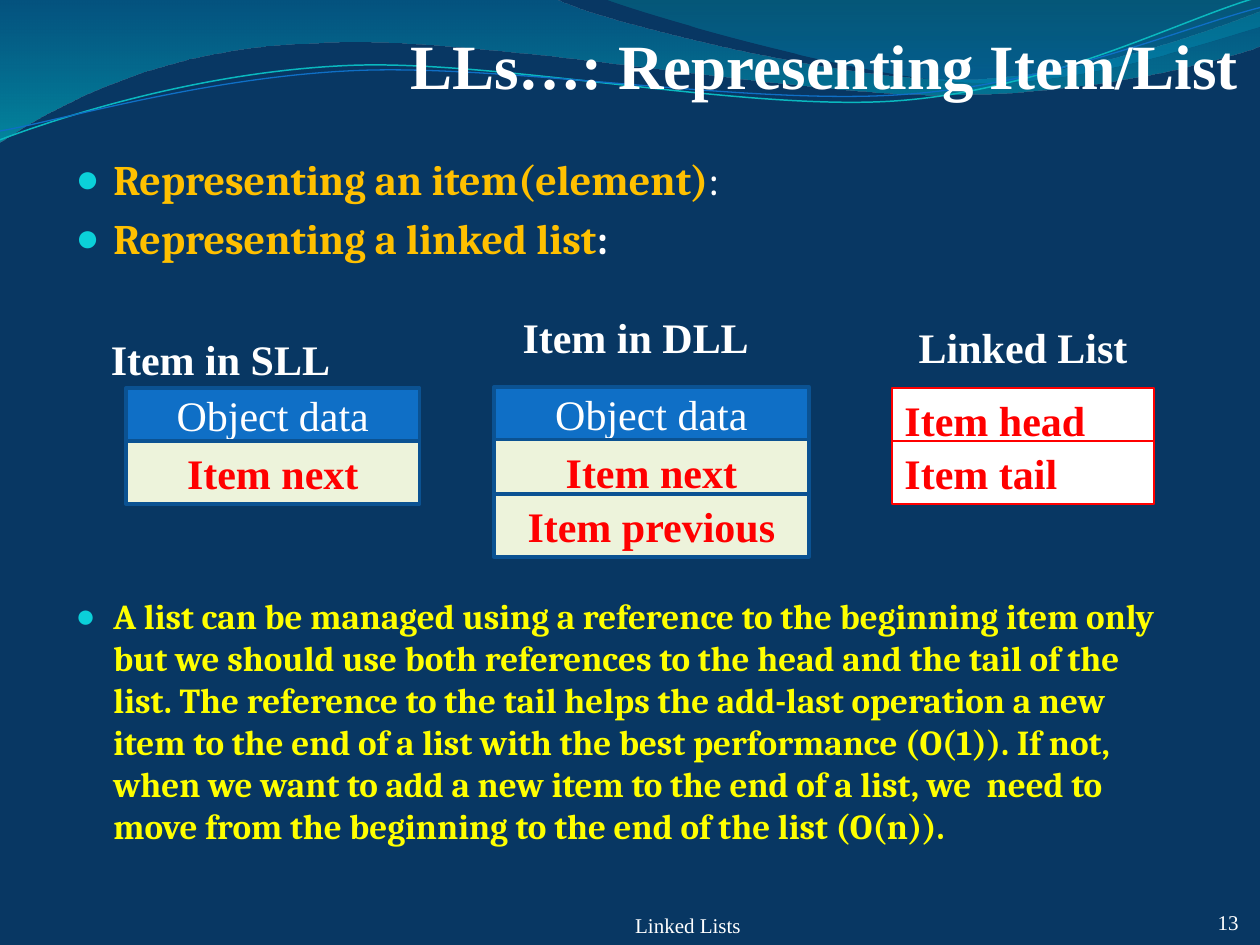
from lxml import etree
from pptx import Presentation
from pptx.dml.color import RGBColor
from pptx.enum.shapes import MSO_SHAPE
from pptx.enum.text import MSO_ANCHOR, MSO_AUTO_SIZE, PP_ALIGN
from pptx.oxml.ns import qn
from pptx.util import Inches, Pt

RECT = MSO_SHAPE.RECTANGLE
TOP, MIDDLE, BOTTOM = MSO_ANCHOR.TOP, MSO_ANCHOR.MIDDLE, MSO_ANCHOR.BOTTOM
LEFT, CENTER, RIGHT = PP_ALIGN.LEFT, PP_ALIGN.CENTER, PP_ALIGN.RIGHT
NONE = MSO_AUTO_SIZE.NONE
ROMAN = "Times New Roman"
rgb = RGBColor.from_string
WHITE, RED, GOLD, BLUE, CREAM = "FFFFFF", "FF0000", "FFC000", "0F6FC6", "EDF3DB"


def write(shape, text, size, color, bold, align, anchor, inset=None):
    frame = shape.text_frame
    frame.word_wrap = True
    frame.auto_size = NONE
    frame.vertical_anchor = anchor
    if inset is not None:
        frame.margin_left = frame.margin_right = frame.margin_bottom = 0
        frame.margin_top = Inches(inset)
    para = frame.paragraphs[0]
    para.text = text
    para.alignment = align
    font = para.font
    font.name, font.size, font.bold = ROMAN, Pt(size), bold
    font.color.rgb = rgb(color)


def place(shape, left, top, width, height):
    shape.left, shape.top = Inches(left), Inches(top)
    shape.width, shape.height = Inches(width), Inches(height)


deck = Presentation()
deck.slide_width, deck.slide_height = Inches(10), Inches(7.5)
slide = deck.slides.add_slide(deck.slide_layouts[3])
shapes = slide.shapes
slide.background.fill.solid()
slide.background.fill.fore_color.rgb = rgb("083763")

waves = [
    ([(0, 0), (4.4, -0.01), (4.76, 0.17, 6.64, 0.63, 7.58, 0.63),
      (8.53, 0.63, 9.58, 0.26, 10, 0.09), (10.01, 0.36),
      (9.83, 0.44, 8.7, 0.76, 7.46, 0.75), (6.22, 0.75, 3.82, 0.28, 2.57, 0.34),
      (1.29, 0.36, 0.46, 0.83, -0.01, 1.13)],
     [(0, "0074A1", 45), (1, "00C6CF", 55)], None),
    ([(4.79, -0.01), (5.09, 0.11, 6.82, 0.62, 7.69, 0.65),
      (8.56, 0.69, 9.61, 0.32, 10, 0.21), (10, 0)],
     [(0, "00A1A9", 30), (0.8, "008BBF", 45)], None),
    ([(0, 1.11), (0.48, 0.93, 1.58, 0.57, 2.77, 0.52),
      (3.95, 0.47, 5.93, 0.89, 7.13, 0.8), (8.33, 0.71, 9.38, 0.15, 9.98, -0.02)],
     None, ("0AB8BF", 0.85)),
    ([(0, 1.04), (0.47, 0.96, 1.64, 0.61, 2.83, 0.56),
      (4.03, 0.51, 5.97, 0.84, 7.17, 0.75), (8.36, 0.67, 9.41, 0.21, 10, 0.06)],
     None, (BLUE, 0.75)),
]
for segs, stops, stroke in waves:
    dots = [(Inches(seg[i]), Inches(seg[i + 1])) for seg in segs for i in range(0, len(seg), 2)]
    pen = shapes.build_freeform(*dots[0])
    pen.add_line_segments(dots[1:], close=bool(stops))
    wave = pen.convert_to_shape()
    wave.shadow.inherit = False
    lines = iter(list(wave._element.iter(qn("a:lnTo"))))
    for seg in segs[1:]:
        line = next(lines)
        if len(seg) == 6:
            curve = etree.Element(qn("a:cubicBezTo"))
            line.addprevious(curve)
            for part in (line, next(lines), next(lines)):
                curve.append(part[0])
                part.getparent().remove(part)
    if stops:
        wave.line.fill.background()
        wave.fill.gradient()
        wave.fill.gradient_angle = 270
        for stop, (pos, color, alpha) in zip(wave.fill.gradient_stops, stops):
            stop.position = pos
            stop.color.rgb = rgb(color)
        tints = wave._element.spPr.iter(qn("a:srgbClr"))
        for tint, (pos, color, alpha) in zip(tints, stops):
            etree.SubElement(tint, qn("a:alpha"), val=str(alpha * 1000))
    else:
        wave.fill.background()
        wave.line.color.rgb = rgb(stroke[0])
        wave.line.width = Pt(stroke[1])

title, points, note = slide.placeholders
for holder in (title, points, note):
    shapes._spTree.append(holder._element)
place(title, 0.5, 0.08, 9.33, 0.73)
write(title, "LLs…: Representing Item/List", 36, WHITE, True, RIGHT, BOTTOM, 0.05)

lists = [
    (points, 1.17, 1.08, 24, [
        [("Representing an item(element)", GOLD, True), (":", WHITE, False)],
        [("Representing a linked list", GOLD, True), (":", WHITE, True)]]),
    (note, 4.67, 2.25, 20, [[(
        "A list can be managed using a reference to the beginning item only but we "
        "should use both references to the head and the tail of the list. The reference "
        "to the tail helps the add-last operation a new item to the end of a list with "
        "the best performance (O(1)). If not, when we want to add a new item to the end "
        "of a list, we  need to move from the beginning to the end of the list (O(n)).",
        "FFFF00", True)]]),
]
for holder, top, height, size, rows in lists:
    place(holder, 0.5, top, 9, height)
    frame = holder.text_frame
    frame.auto_size = NONE
    for i, row in enumerate(rows):
        para = frame.add_paragraph() if i else frame.paragraphs[0]
        props = para._p.get_or_add_pPr()
        props.set("marL", str(Inches(0.3)))
        props.set("indent", str(-Inches(0.3)))
        tint = etree.SubElement(props, qn("a:buClr"))
        etree.SubElement(tint, qn("a:srgbClr"), val="0BD0D9")
        etree.SubElement(props, qn("a:buSzPct"), val="95000")
        etree.SubElement(props, qn("a:buChar"), char="●")
        para.font.name, para.font.size = "Cambria", Pt(size)
        for text, color, bold in row:
            run = para.add_run()
            run.text = text
            run.font.bold = bold
            run.font.color.rgb = rgb(color)

labels = [
    ("13", 9.25, 7.17, 0.58, 0.25, 12, False, RIGHT, BOTTOM, 0),
    ("Linked Lists", 3.92, 7.17, 3.08, 0.27, 12, False, CENTER, BOTTOM, 0),
    ("Item in SLL", 0.5, 2.6, 2.5, 0.5, 24, True, CENTER, TOP, None),
    ("Item in DLL", 3.67, 2.42, 2.75, 0.5, 24, True, CENTER, TOP, None),
    ("Linked List", 7.08, 2.5, 2.08, 0.5, 24, True, CENTER, TOP, None),
]
for text, left, top, width, height, size, bold, align, anchor, inset in labels:
    box = shapes.add_textbox(Inches(left), Inches(top), Inches(width), Inches(height))
    write(box, text, size, WHITE, bold, align, anchor, inset)

data = ("Object data", 0.42, BLUE, WHITE, False)
after = ("Item next", 0.5, CREAM, RED, True)
before = ("Item previous", 0.5, CREAM, RED, True)
head = ("Item head", 0.5, WHITE, RED, True)
tail = ("Item tail", 0.5, WHITE, RED, True)
stacks = [
    (1, 2.33, (3.08, 3.5), "0B5292", 2, CENTER, MIDDLE, (data, after)),
    (7.08, 2.08, (3.08, 3.5), RED, 0.75, LEFT, TOP, (head, tail)),
    (3.92, 2.5, (3.07, 3.49, 3.92), "0B5292", 2, CENTER, MIDDLE, (data, after, before)),
]
for left, width, tops, edge, weight, align, anchor, cells in stacks:
    for top, (text, height, fill, color, bold) in zip(tops, cells):
        cell = shapes.add_shape(RECT, Inches(left), Inches(top), Inches(width), Inches(height))
        cell.shadow.inherit = False
        cell.fill.solid()
        cell.fill.fore_color.rgb = rgb(fill)
        cell.line.color.rgb = rgb(edge)
        cell.line.width = Pt(weight)
        write(cell, text, 24, color, bold, align, anchor)

deck.save("out.pptx")
